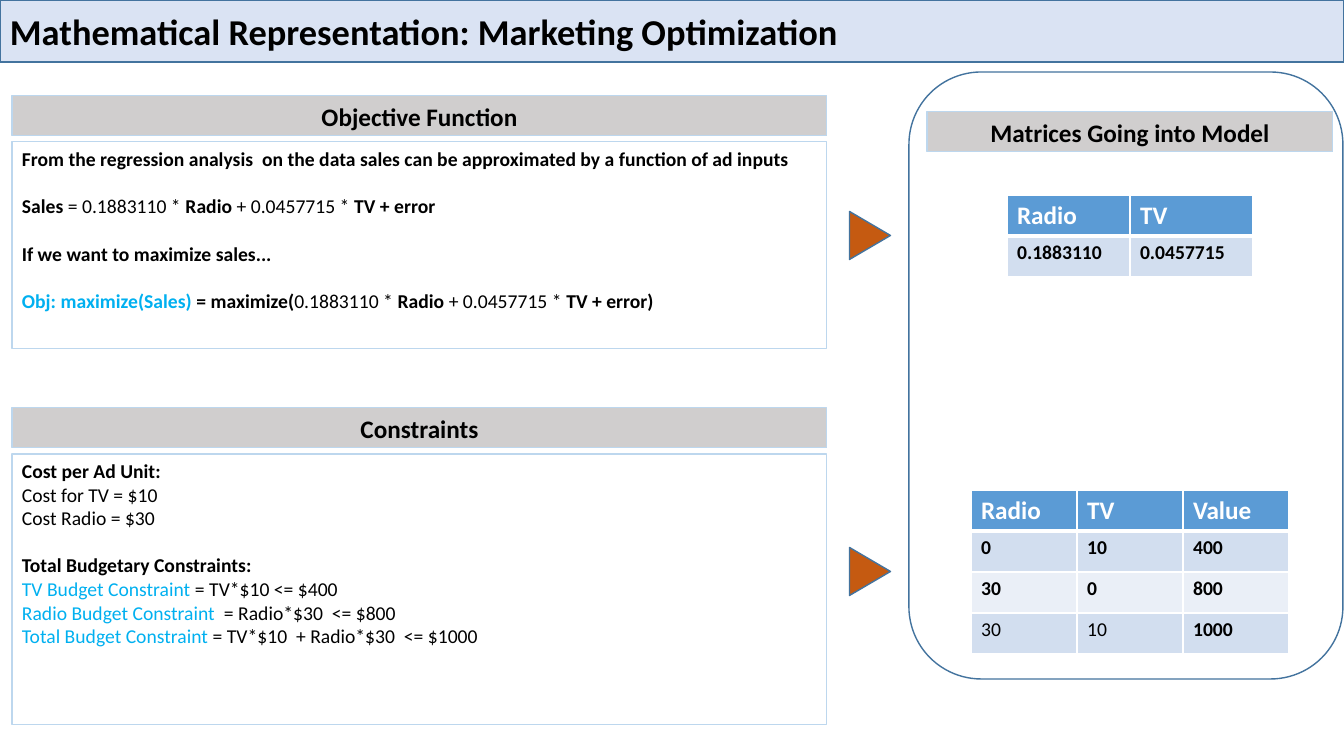
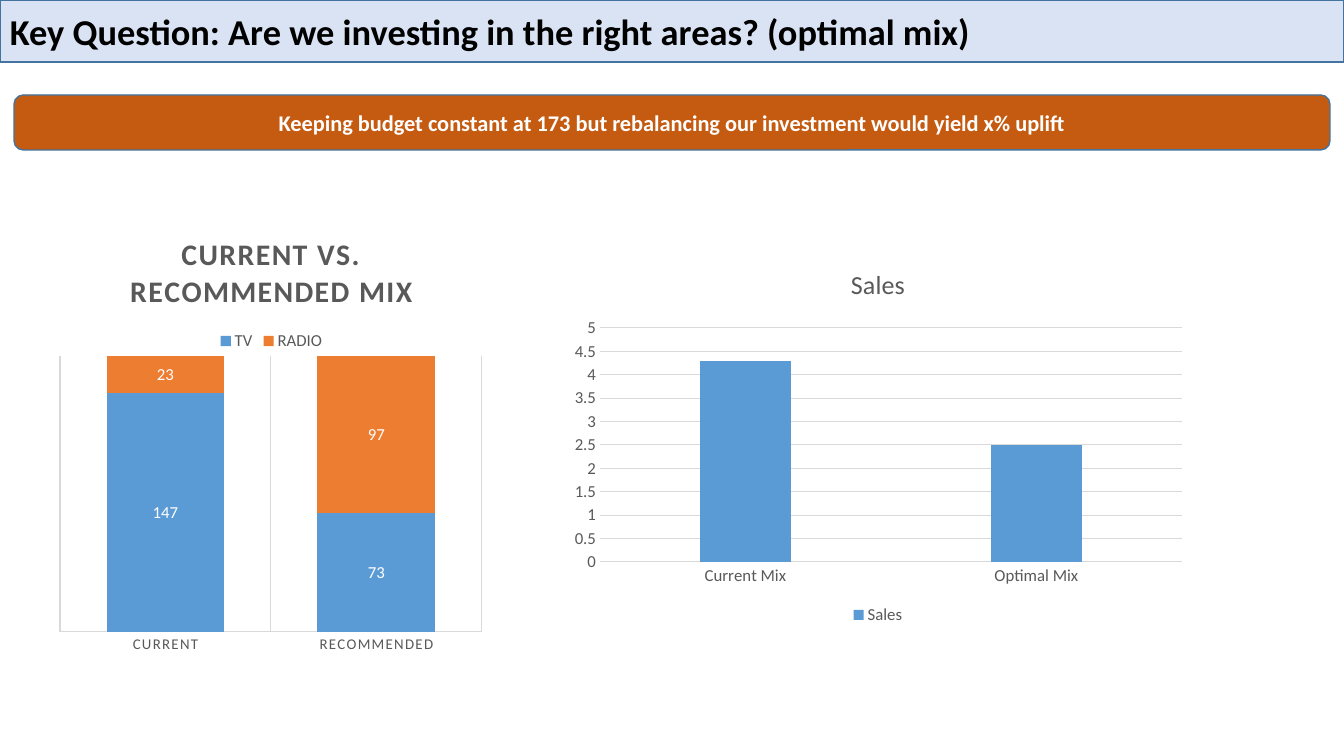
import lxml.etree
import pptx
import pptx.chart.data
import pptx.dml.color
import pptx.enum.chart
import pptx.enum.shapes
import pptx.enum.text
import pptx.oxml
import pptx.oxml.ns
import pptx.util

Pt = pptx.util.Pt
SHAPE = pptx.enum.shapes.MSO_SHAPE
ALIGN = pptx.enum.text.PP_ALIGN
ANCHOR = pptx.enum.text.MSO_ANCHOR
CHART = pptx.enum.chart
qn = pptx.oxml.ns.qn
EMU = 914400 / 100.8
FONT = "Calibri"
COLORS = {k: pptx.dml.color.RGBColor.from_string(v) for k, v in {
    "black": "000000", "white": "FFFFFF", "band": "DAE3F3", "outline": "43739E",
    "header": "D0CECE", "frame": "BDD7EE", "rust": "C55A11", "cyan": "00B0F0",
    "blue": "5B9BD5", "orange": "ED7D31", "odd": "D2DEEF", "even": "EAEFF7",
    "gray": "595959", "grid": "D9D9D9"}.items()}


def style(font, size, color="black", bold=False, spacing=0):
    """Set the font, size, colour, weight and letter spacing."""
    for name, value in {"name": FONT, "size": Pt(size), "bold": bold}.items():
        setattr(font, name, value)
    font.color.rgb = COLORS[color]
    if spacing:
        font._element.set("spc", str(spacing))


def box(s, kind, at, fill=None, line=("outline", 1), text="", size=18,
        color="black", align=ALIGN.CENTER):
    """Add a preset shape, optionally with one bold line of text."""
    sp = s.shapes.add_shape(kind, *[round(v * EMU) for v in at])
    sp.shadow.inherit = False
    if fill:
        sp.fill.solid()
        sp.fill.fore_color.rgb = COLORS[fill]
    else:
        sp.fill.background()
    sp.line.color.rgb = COLORS[line[0]]
    sp.line.width = Pt(line[1])
    if text:
        p = sp.text_frame.paragraphs[0]
        p.alignment = align
        r = p.add_run()
        r.text = text
        style(r.font, size, color, True)
    return sp


prs = pptx.Presentation()
prs.slide_width, prs.slide_height = round(1344 * EMU), round(756 * EMU)

slides = []
for title in ("Mathematical Representation: Marketing Optimization",
              "Key Question: Are we investing in the right areas? (optimal mix)"):
    s = prs.slides.add_slide(prs.slide_layouts[6])
    box(s, SHAPE.RECTANGLE, (0, 0, 1344, 62), "band", text=title, size=26, align=ALIGN.LEFT)
    slides.append(s)
model, mix = slides

# Slide 1: panels; each paragraph is (starts a block, runs), each run (text, bold, colour)
formula = [("0.1883110 * ", False, "black"), ("Radio", True, "black"),
           (" + 0.0457715 * ", False, "black")]
objective = [
    (False, [("From the regression analysis  on the data sales can be approximated "
              "by a function of ad inputs", True, "black")]),
    (True, [("Sales", True, "black"), (" = ", False, "black"), *formula,
            ("TV + error", True, "black")]),
    (True, [("If we want to maximize sales...", True, "black")]),
    (True, [("Obj: maximize(Sales) ", True, "cyan"), ("= maximize(", True, "black"),
            *formula, ("TV + error)", True, "black")]),
]
constraints = [
    (False, [("Cost per Ad Unit:", True, "black")]),
    (False, [("Cost for TV = $10", False, "black")]),
    (False, [("Cost Radio = $30", False, "black")]),
    (True, [("Total Budgetary Constraints:", True, "black")]),
    (False, [("TV Budget Constraint ", False, "cyan"),
             ("= TV*$10 <= $400", False, "black")]),
    (False, [("Radio Budget Constraint  ", False, "cyan"),
             ("= Radio*$30  <= $800", False, "black")]),
    (False, [("Total Budget Constraint ", False, "cyan"),
             ("= TV*$10  + Radio*$30  <= $1000", False, "black")]),
]
frame = ("frame", 0.75)
for heading, top, height, lines in (("Objective Function", 96, 207, objective),
                                    ("Constraints", 408, 271, constraints)):
    box(model, SHAPE.RECTANGLE, (12, top, 815, 40), "header", frame, heading)
    tf = box(model, SHAPE.RECTANGLE, (12, top + 46, 815, height), line=frame).text_frame
    tf.vertical_anchor = ANCHOR.TOP
    for i, (starts_block, runs) in enumerate(lines):
        p = tf.add_paragraph() if i else tf.paragraphs[0]
        p.alignment = ALIGN.LEFT
        p.space_before = Pt(17 if starts_block else 0)
        for text, bold, color in runs:
            r = p.add_run()
            r.text = text
            style(r.font, 14, color, bold)

# Matrices
for left, top, width, rows in (
        (1007, 195, 123, [["Radio", "TV"], ["0.1883110", "0.0457715"]]),
        (971, 490, 106, [["Radio", "TV", "Value"], ["0", "10", "400"],
                         ["30", "0", "800"], ["30", "10", "1000"]])):
    n_rows, n_cols = len(rows), len(rows[0])
    table = model.shapes.add_table(n_rows, n_cols, *[
        round(v * EMU) for v in (left, top, width * n_cols, 41 * n_rows)]).table
    for i, row in enumerate(rows):
        for j, text in enumerate(row):
            cell = table.cell(i, j)
            tcPr = cell._tc.get_or_add_tcPr()
            for side in ("lnL", "lnR", "lnT", "lnB"):
                thick = (side, i) in (("lnB", 0), ("lnT", 1))
                ln = lxml.etree.SubElement(tcPr, qn("a:" + side), w=str(Pt(3 if thick else 1)))
                fill = lxml.etree.SubElement(ln, qn("a:solidFill"))
                lxml.etree.SubElement(fill, qn("a:srgbClr"), val=str(COLORS["white"]))
            cell.fill.solid()
            cell.fill.fore_color.rgb = COLORS["blue" if i == 0 else "odd" if i % 2 else "even"]
            r = cell.text_frame.paragraphs[0].add_run()
            r.text = text
            plain = i == 3 and j < 2
            style(r.font, 14 if i else 18, "black" if i else "white", not plain)

for top in (215, 551):
    arrow = box(model, SHAPE.ISOSCELES_TRIANGLE, (846, top, 48, 41), "rust")
    arrow.rotation = 90
box(model, SHAPE.RECTANGLE, (927, 112, 406, 40), "header", frame, "Matrices Going into Model")
box(model, SHAPE.ROUNDED_RECTANGLE, (909, 72, 434, 607))

# Slide 2: message and charts
box(mix, SHAPE.ROUNDED_RECTANGLE, (14, 95, 1316, 55), "rust", size=16, color="white",
    text="Keeping budget constant at 173 but rebalancing our investment would yield x% uplift")

charts = [
    {"type": CHART.XL_CHART_TYPE.COLUMN_STACKED_100, "at": (51, 214, 441, 450),
     "plot": (60, 356, 422, 276), "title": "CURRENT VS. RECOMMENDED MIX",
     "title_font": (21.3, "gray", True, 120), "cat_font": (10.6, "gray", False, 100),
     "cats": ["CURRENT", "RECOMMENDED"], "gap": 79, "overlap": 100,
     "legend": CHART.XL_LEGEND_POSITION.TOP, "stacked": True,
     "series": [("TV", (147, 73), "blue"), ("RADIO", (23, 97), "orange")]},
    {"type": CHART.XL_CHART_TYPE.COLUMN_CLUSTERED, "at": (562, 249, 632, 380),
     "plot": (600, 328, 582, 234), "title": "Sales",
     "title_font": (18.6, "gray"), "cat_font": (12, "gray"),
     "cats": ["Current Mix", "Optimal Mix"], "gap": 219, "overlap": -27,
     "legend": CHART.XL_LEGEND_POSITION.BOTTOM, "stacked": False,
     "series": [("Sales", (4.3, 2.5), "blue")]},
]
for spec_values in charts:
    c = spec_values
    data = pptx.chart.data.CategoryChartData()
    data.categories = c["cats"]
    for name, values, color in c["series"]:
        data.add_series(name, values)
    chart = mix.shapes.add_chart(c["type"], *[round(v * EMU) for v in c["at"]], data).chart
    style(chart.font, 10)

    chart.has_title = True
    r = chart.chart_title.text_frame.paragraphs[0].add_run()
    r.text = c["title"]
    style(r.font, *c["title_font"])
    chart.has_legend = True
    chart.legend.position = c["legend"]
    chart.legend.include_in_layout = False
    style(chart.legend.font, 12, "gray")

    cat, val = chart.category_axis, chart.value_axis
    cat.has_major_gridlines = c["stacked"]
    val.has_major_gridlines = not c["stacked"]
    for axis in (cat, val):
        axis.major_tick_mark = axis.minor_tick_mark = CHART.XL_TICK_MARK.NONE
    gridded = cat if c["stacked"] else val
    for line in (cat.format.line, gridded.major_gridlines.format.line):
        line.color.rgb = COLORS["grid"]
        line.width = Pt(0.75)
    style(cat.tick_labels.font, *c["cat_font"])
    if c["stacked"]:
        val.visible = False
    else:
        val.format.line.fill.background()
        style(val.tick_labels.font, 12, "gray")
        for name, value in {"minimum_scale": 0, "maximum_scale": 5, "major_unit": 0.5}.items():
            setattr(val, name, value)

    plot = chart.plots[0]
    for name, value in {"gap_width": c["gap"], "overlap": c["overlap"],
                        "vary_by_categories": False}.items():
        setattr(plot, name, value)
    for series, (name, values, color) in zip(plot.series, c["series"]):
        series.format.fill.solid()
        series.format.fill.fore_color.rgb = COLORS[color]
        if c["stacked"]:
            labels = series.data_labels
            for key, value in {"show_value": True, "number_format": "0",
                               "number_format_is_linked": False,
                               "position": CHART.XL_LABEL_POSITION.CENTER}.items():
                setattr(labels, key, value)
            style(labels.font, 12, "white")

    # Inner plot area as fractions of the chart frame
    left, top, width, height = c["at"]
    x, y, w, h = c["plot"]
    area = chart._chartSpace.chart.plotArea
    for old in area.findall(qn("c:layout")):
        area.remove(old)
    layout = lxml.etree.Element(qn("c:layout"))
    manual = lxml.etree.SubElement(layout, qn("c:manualLayout"))
    for tag, value in (("layoutTarget", "inner"), ("xMode", "edge"), ("yMode", "edge"),
                       ("x", (x - left) / width), ("y", (y - top) / height),
                       ("w", w / width), ("h", h / height)):
        lxml.etree.SubElement(manual, qn("c:" + tag), val=str(value))
    area.insert(0, layout)

prs.save("out.pptx")
